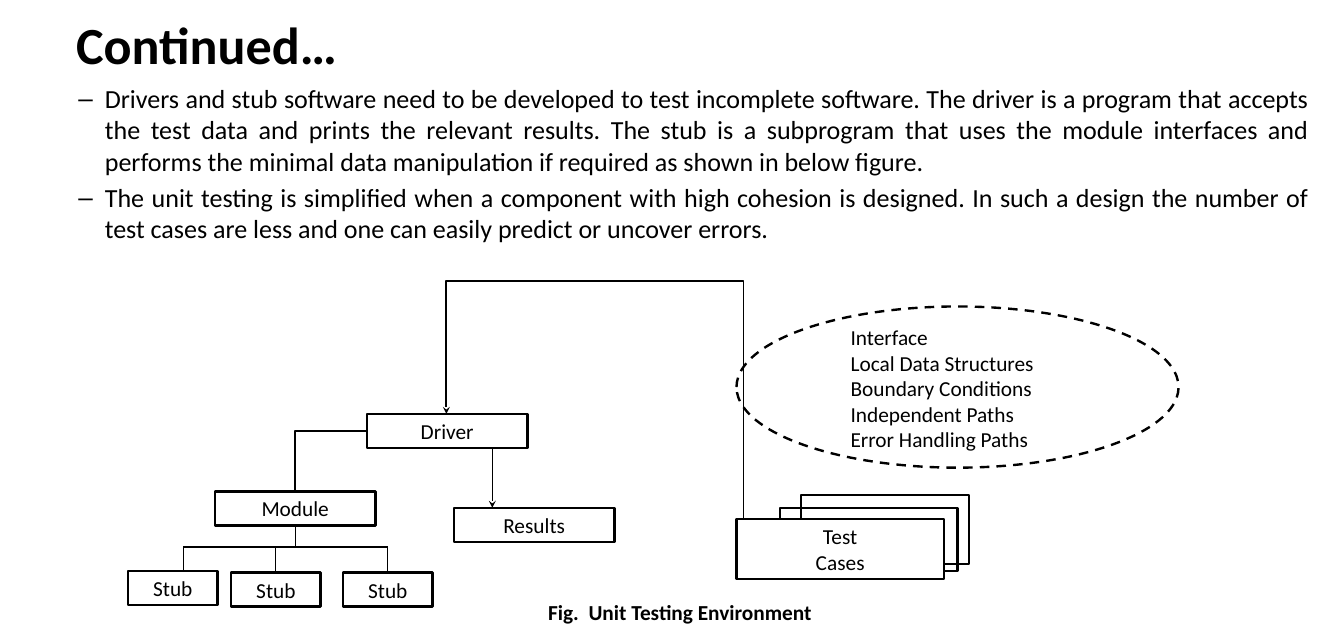
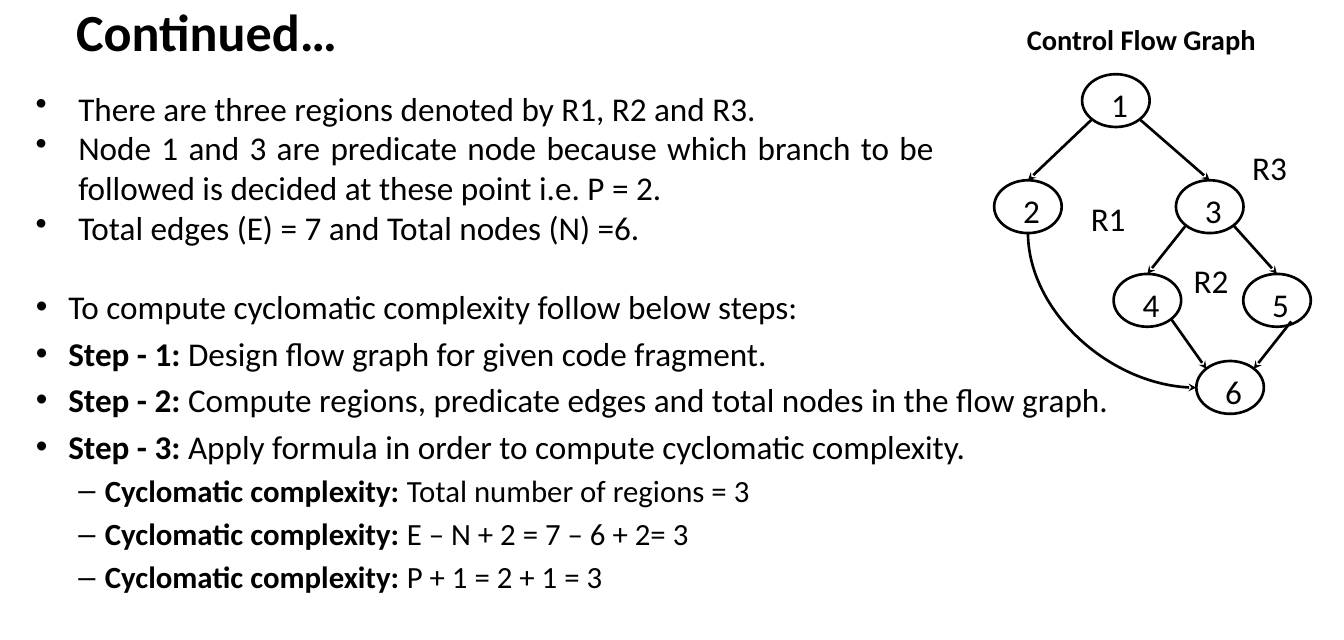
from lxml.etree import SubElement
from pptx import Presentation
from pptx.dml.color import RGBColor
from pptx.enum.dml import MSO_LINE
from pptx.enum.shapes import MSO_CONNECTOR, MSO_SHAPE
from pptx.enum.text import MSO_ANCHOR, MSO_AUTO_SIZE, PP_ALIGN
from pptx.oxml.ns import qn
from pptx.util import Pt

FONT = "Calibri"
BLACK = "000000"
WHITE = "FFFFFF"
SLIDE_WIDTH, SLIDE_HEIGHT = 1134, 540
BODY_LEFT, BODY_WIDTH = 23, 1088.6
BULLETS = {
    "step": ("•", 27.4, -27.4),
    "finding": ("•", 36, -36),
    "detail": ("–", 58.3, -22.3),
}


def color(hex_string):
    return RGBColor.from_string(hex_string)


def write(frame, lines, size=18, bold=False, align=PP_ALIGN.LEFT, before=0, level=0, bullet=None):
    frame.word_wrap = True
    for line in lines:
        first = not frame.paragraphs[0].runs
        paragraph = frame.paragraphs[0] if first else frame.add_paragraph()
        paragraph.alignment = align
        paragraph.level = level
        paragraph.space_before = Pt(0 if first else before)
        if bullet:
            character, margin, indent = BULLETS[bullet]
            properties = paragraph._p.get_or_add_pPr()
            properties.set("marL", str(Pt(margin)))
            properties.set("indent", str(Pt(indent)))
            SubElement(properties, qn("a:buChar")).set("char", character)
        lead, rest = line if isinstance(line, tuple) else ("", line)
        for text, is_bold in ((lead, True), (rest, bold)):
            if text:
                run = paragraph.add_run()
                run.text = text
                run.font.name = FONT
                run.font.size = Pt(size)
                run.font.bold = is_bold
                run.font.color.rgb = color(BLACK)


def add_label(slide, left, top, width, height, lines, **text_format):
    shape = slide.shapes.add_textbox(Pt(left), Pt(top), Pt(width), Pt(height))
    write(shape.text_frame, lines, **text_format)
    return shape


def add_outline(slide, kind, left, top, width, height, lines=(), fill=None, weight=2, **text_format):
    shape = slide.shapes.add_shape(kind, Pt(left), Pt(top), Pt(width), Pt(height))
    shape.shadow.inherit = False
    if fill:
        shape.fill.solid()
        shape.fill.fore_color.rgb = color(fill)
    else:
        shape.fill.background()
    shape.line.color.rgb = color(BLACK)
    shape.line.width = Pt(weight)
    write(shape.text_frame, lines, align=PP_ALIGN.CENTER, **text_format)
    return shape


def add_line(slide, start, end, weight=1, arrow=False, kind=MSO_CONNECTOR.STRAIGHT):
    connector = slide.shapes.add_connector(kind, *(Pt(value) for value in (*start, *end)))
    connector.line.color.rgb = color(BLACK)
    connector.line.width = Pt(weight)
    if arrow:
        SubElement(connector.line._get_or_add_ln(), qn("a:tailEnd")).set("type", "stealth")
    SubElement(connector._element.spPr, qn("a:effectLst"))
    return connector


def route(connector, preset, rotation=0, adjustments=()):
    properties = connector._element.spPr
    geometry = properties.find(qn("a:prstGeom"))
    geometry.set("prst", preset)
    if rotation:
        properties.find(qn("a:xfrm")).set("rot", str(rotation * 60000))
    guides = geometry.find(qn("a:avLst"))
    if guides is None:
        guides = SubElement(geometry, qn("a:avLst"))
    for number, value in enumerate(adjustments, 1):
        guide = SubElement(guides, qn("a:gd"))
        guide.set("name", f"adj{number}")
        guide.set("fmla", f"val {value}")


def place(shape, left, top, width, height):
    shape.left, shape.top, shape.width, shape.height = (
        Pt(value) for value in (left, top, width, height)
    )
    shape.text_frame.auto_size = MSO_AUTO_SIZE.NONE


def add_content_slide(presentation, title_top, body_top):
    slide = presentation.slides.add_slide(presentation.slide_layouts[1])
    title, body = slide.placeholders
    place(title, 57, title_top, 1021, 90)
    title.text_frame.vertical_anchor = MSO_ANCHOR.MIDDLE
    write(title.text_frame, ["Continued…"], size=44, bold=True, align=PP_ALIGN.JUSTIFY)
    place(body, BODY_LEFT, body_top, BODY_WIDTH, SLIDE_HEIGHT - 3 - body_top)
    body.text_frame.vertical_anchor = MSO_ANCHOR.TOP
    return slide, body.text_frame


def add_test_environment(slide, left, top):
    def at(x, y):
        return left + x, top + y

    def add_box(x, y, text, width=135.4):
        return add_outline(slide, MSO_SHAPE.RECTANGLE, *at(x, y), width, 28.8, [text], fill=WHITE)

    add_box(201.6, 111.6, "Driver")
    add_box(275, 190.8, "Results")
    module = add_box(73.4, 177, "Module")
    stubs = [add_box(x, y, "Stub", 75.6) for x, y in ((0, 244), (87, 245.5), (181.4, 245.5))]

    add_line(slide, at(307.4, 141), at(307.4, 190.8), arrow=True)
    driver_to_module = add_line(slide, at(201.6, 126), at(141, 177), kind=MSO_CONNECTOR.ELBOW)
    route(driver_to_module, "bentConnector2")

    bus = 224
    add_line(slide, at(141.1, 205.8), at(141.1, bus)).begin_connect(module, 2)
    add_line(slide, at(46.8, bus), at(219.2, bus))
    add_line(slide, at(46.8, bus), at(46.8, 244))
    for x, stub in zip((124.8, 219.2), stubs[1:]):
        add_line(slide, at(x, bus), at(x, 245.5)).end_connect(stub, 0)

    add_outline(slide, MSO_SHAPE.RECTANGLE, *at(550, 190.8), 149.8, 53.3)
    add_outline(slide, MSO_SHAPE.RECTANGLE, *at(568, 180), 141.8, 58.3)
    add_outline(slide, MSO_SHAPE.RECTANGLE, *at(513.4, 200.2), 175, 51, ["Test", "Cases"], fill=WHITE)

    scope = add_outline(slide, MSO_SHAPE.OVAL, *at(513.4, 21), 373, 136)
    scope.line.dash_style = MSO_LINE.DASH
    add_label(slide, *at(602.6, 32.4), 181.4, 116.6, [
        "Interface",
        "Local Data Structures",
        "Boundary Conditions",
        "Independent Paths",
        "Error Handling Paths",
    ])
    cases_to_driver = add_line(
        slide, at(268.6, 111.6), at(528.5, 200.2), 1.5, True, MSO_CONNECTOR.ELBOW
    )
    route(cases_to_driver, "bentConnector4", 180, (3500, 226900))


def add_flow_graph(slide, left, top):
    node_width, node_height = 57, 44.6
    nodes = {
        "1": (74.2, 0),
        "2": (0, 89.5),
        "3": (153.4, 89.5),
        "4": (100.8, 168.5),
        "5": (210.2, 168.5),
        "6": (170.6, 242),
    }
    top_middle, top_left, top_right = (0.5, 0), (0.15, 0.15), (0.85, 0.15)
    low_left, low_right = (0.15, 0.85), (0.85, 0.85)
    edges = [
        ("1", low_left, "2", top_middle),
        ("1", low_right, "3", top_middle),
        ("3", low_left, "4", top_middle),
        ("3", low_right, "5", top_middle),
        ("5", (0.71, 0.9), "6", top_right),
        ("4", low_right, "6", top_left),
    ]

    def point(node, fraction):
        x, y = nodes[node]
        return left + x + node_width * fraction[0], top + y + node_height * fraction[1]

    for number, (x, y) in nodes.items():
        node = add_outline(slide, MSO_SHAPE.OVAL, left + x, top + y, node_width, node_height,
                           [number], weight=2.25, size=28)
        frame = node.text_frame
        frame.margin_left = frame.margin_top = Pt(6)
        frame.margin_right = frame.margin_bottom = 0
    for source, leave, target, arrive in edges:
        add_line(slide, point(source, leave), point(target, arrive), 2.25, True)

    curve = add_line(
        slide, (left + 165, top + 128), (left + 34, top + 270), 2.25, True, MSO_CONNECTOR.CURVE
    )
    route(curve, "curvedConnector2", 270)

    for region, x, y in (("R1", 72.7, 100.8), ("R2", 159.5, 153.4), ("R3", 208.8, 58.3)):
        add_label(slide, left + x, top + y, 47, 36, [region], size=28, align=PP_ALIGN.CENTER)


def add_unit_testing_slide(presentation):
    slide, body = add_content_slide(presentation, -8, 66)
    write(body, [
        "Drivers and stub software need to be developed to test incomplete software. "
        "The driver is a program that accepts the test data and prints the relevant results. "
        "The stub is a subprogram that uses the module interfaces and performs the minimal "
        "data manipulation if required as shown in below figure.",
        "The unit testing is simplified when a component with high cohesion is designed. "
        "In such a design the number of test cases are less and one can easily predict or "
        "uncover errors.",
    ], size=22, align=PP_ALIGN.JUSTIFY, before=4.4, level=1, bullet="detail")
    add_test_environment(slide, 108, 237.6)
    add_label(slide, 415.4, 502, 316.8, 28.8, ["Fig.  Unit Testing Environment"],
              bold=True, align=PP_ALIGN.CENTER)


def add_complexity_slide(presentation):
    slide, body = add_content_slide(presentation, -19.4, 238)
    write(body, [
        "To compute cyclomatic complexity follow below steps:",
        ("Step - 1: ", "Design flow graph for given code fragment."),
        ("Step - 2: ", "Compute regions, predicate edges and total nodes in the flow graph."),
        ("Step - 3: ", "Apply formula in order to compute cyclomatic complexity."),
    ], size=28, align=PP_ALIGN.JUSTIFY, before=5.6, bullet="step")
    formulas = ("Total number of regions = 3", "E – N + 2 = 7 – 6 + 2= 3", "P + 1 = 2 + 1 = 3")
    write(body, [("Cyclomatic complexity: ", formula) for formula in formulas],
          size=26, align=PP_ALIGN.JUSTIFY, before=5.2, level=1, bullet="detail")
    add_label(slide, 858.2, 15, 209.5, 36, ["Control Flow Graph"],
              size=24, bold=True, align=PP_ALIGN.CENTER)
    add_flow_graph(slide, 838.8, 62.6)
    add_label(slide, BODY_LEFT, 70.6, 772, 143.3, [
        "There are three regions denoted by R1, R2 and R3.",
        "Node 1 and 3 are predicate node because which branch to be followed is decided "
        "at these point i.e. P = 2.",
        "Total edges (E) = 7 and Total nodes (N) =6.",
    ], size=28, align=PP_ALIGN.JUSTIFY, bullet="finding")


def main():
    presentation = Presentation()
    presentation.slide_width = Pt(SLIDE_WIDTH)
    presentation.slide_height = Pt(SLIDE_HEIGHT)
    add_unit_testing_slide(presentation)
    add_complexity_slide(presentation)
    presentation.save("out.pptx")


if __name__ == "__main__":
    main()
